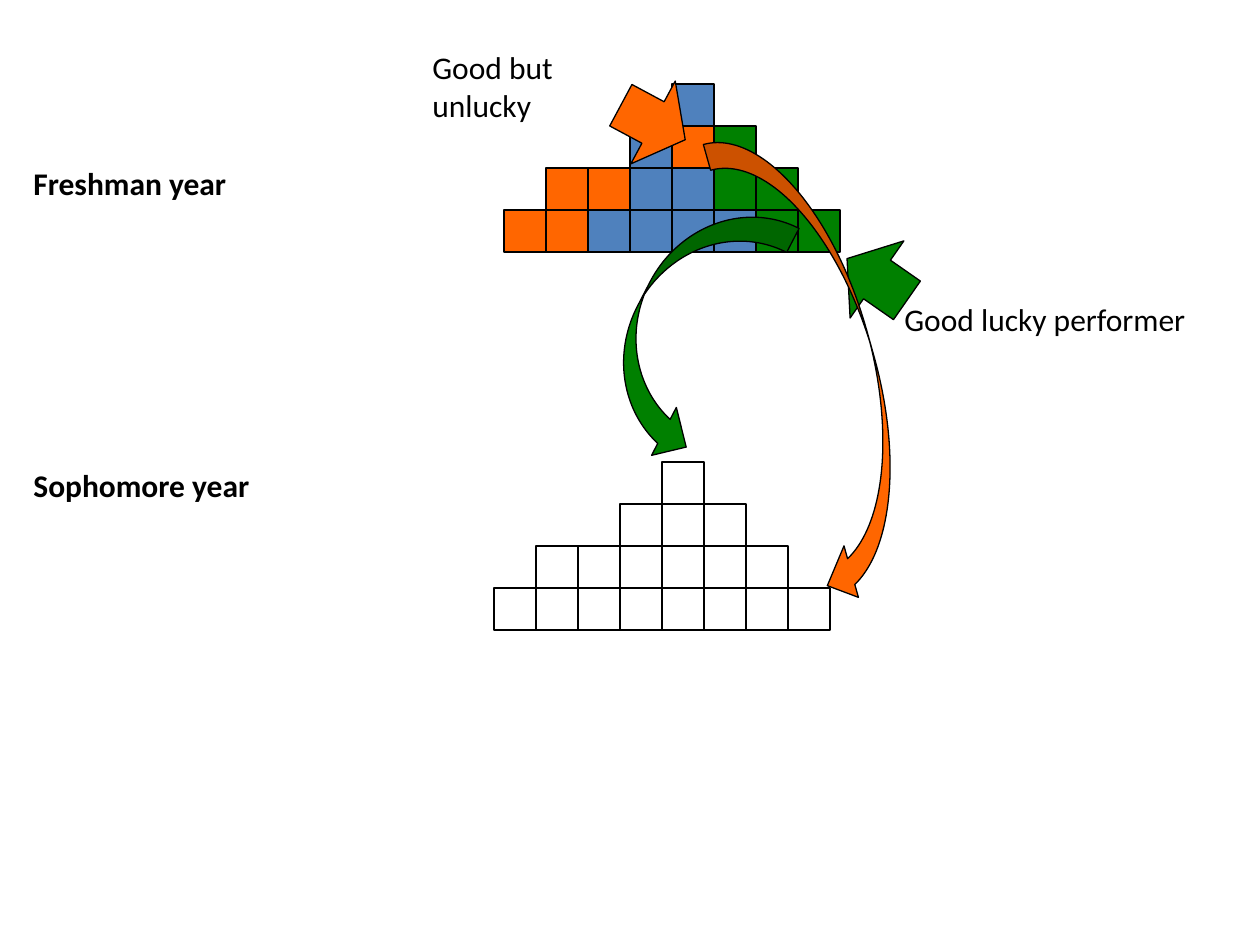
"""Build a slide on lucky and unlucky performers in two school years."""
from typing import NamedTuple

from pptx import Presentation
from pptx.dml.color import RGBColor
from pptx.enum.shapes import MSO_SHAPE
from pptx.util import Pt

RECT = MSO_SHAPE.RECTANGLE
UP = MSO_SHAPE.UP_ARROW
CURVE = MSO_SHAPE.CURVED_DOWN_ARROW

PX = 914400 / 126
CELL = 42
FONT = "Calibri"
COLORS = {
    "B": "4F81BD",
    "O": "FF6600",
    "G": "008000",
    "W": "FFFFFF",
    "ink": "000000",
}


class Box(NamedTuple):
    left: int
    top: int
    width: int
    height: int


class Label(NamedTuple):
    text: str
    box: Box
    bold: bool = False
    gap: int = 0


class Arrow(NamedTuple):
    kind: MSO_SHAPE
    box: Box
    turn: float
    fill: str
    flip: bool = False


class Pile(NamedTuple):
    left: int
    top: int
    rows: tuple[str, ...]


PILES = (
    Pile(504, 84, ("    B", "   BOG", " OOBBGG", "OOBBBBGG")),
    Pile(494, 462, ("    W", "   WWW", " WWWWWW", "WWWWWWWW")),
)
ARROWS = (
    Arrow(UP, Box(830, 243, 94, 73), 304.9, "G"),
    Arrow(UP, Box(606, 86, 94, 73), 118.2, "O"),
    Arrow(CURVE, Box(552, 271, 273, 108), 117.3, "G", True),
    Arrow(CURVE, Box(578, 310, 485, 107), 74.3, "O"),
)
LABELS = (
    Label("Freshman year\nSophomore year", Box(21, 158, 360, 471), True, 151),
    Label("Good lucky performer", Box(892, 294, 340, 64)),
    Label("Good but\nunlucky", Box(420, 42, 200, 115)),
)


def emu(box: Box) -> list[int]:
    """Turn a box in px into EMU."""
    return [round(side * PX) for side in box]


def color(key: str) -> RGBColor:
    """Look up a colour by its key."""
    return RGBColor.from_string(COLORS[key])


def add_form(shapes, kind: MSO_SHAPE, box: Box, fill: str):
    """Add a filled shape with a thin dark outline."""
    form = shapes.add_shape(kind, *emu(box))
    form.shadow.inherit = False
    form.fill.solid()
    form.fill.fore_color.rgb = color(fill)
    form.line.color.rgb = color("ink")
    form.line.width = Pt(0.75)
    return form


def add_pile(shapes, pile: Pile) -> None:
    """Stack one group of square cells."""
    group = shapes.add_group_shape()
    for row, keys in enumerate(pile.rows):
        for col, key in enumerate(keys):
            if key != " ":
                left, top = pile.left + col * CELL, pile.top + row * CELL
                add_form(group.shapes, RECT, Box(left, top, CELL, CELL), key)


def add_arrow(shapes, arrow: Arrow) -> None:
    """Add a turned block arrow."""
    form = add_form(shapes, arrow.kind, arrow.box, arrow.fill)
    form.rotation = arrow.turn
    if arrow.flip:
        form.element.spPr.xfrm.set("flipV", "1")


def add_label(shapes, label: Label) -> None:
    """Add a text box, with a gap above each later line."""
    frame = shapes.add_textbox(*emu(label.box)).text_frame
    frame.word_wrap = True
    frame.text = label.text
    for index, line in enumerate(frame.paragraphs):
        line.space_before = Pt(label.gap if index else 0)
        for run in line.runs:
            run.font.name = FONT
            run.font.size = Pt(18)
            run.font.bold = label.bold
            run.font.color.rgb = color("ink")


def main() -> None:
    """Draw the slide and save it."""
    deck = Presentation()
    deck.slide_width, deck.slide_height = round(1260 * PX), round(945 * PX)
    shapes = deck.slides.add_slide(deck.slide_layouts[6]).shapes
    for pile in PILES:
        add_pile(shapes, pile)
    for label in LABELS:
        add_label(shapes, label)
    for arrow in ARROWS:
        add_arrow(shapes, arrow)
    deck.save("out.pptx")


if __name__ == "__main__":
    main()
